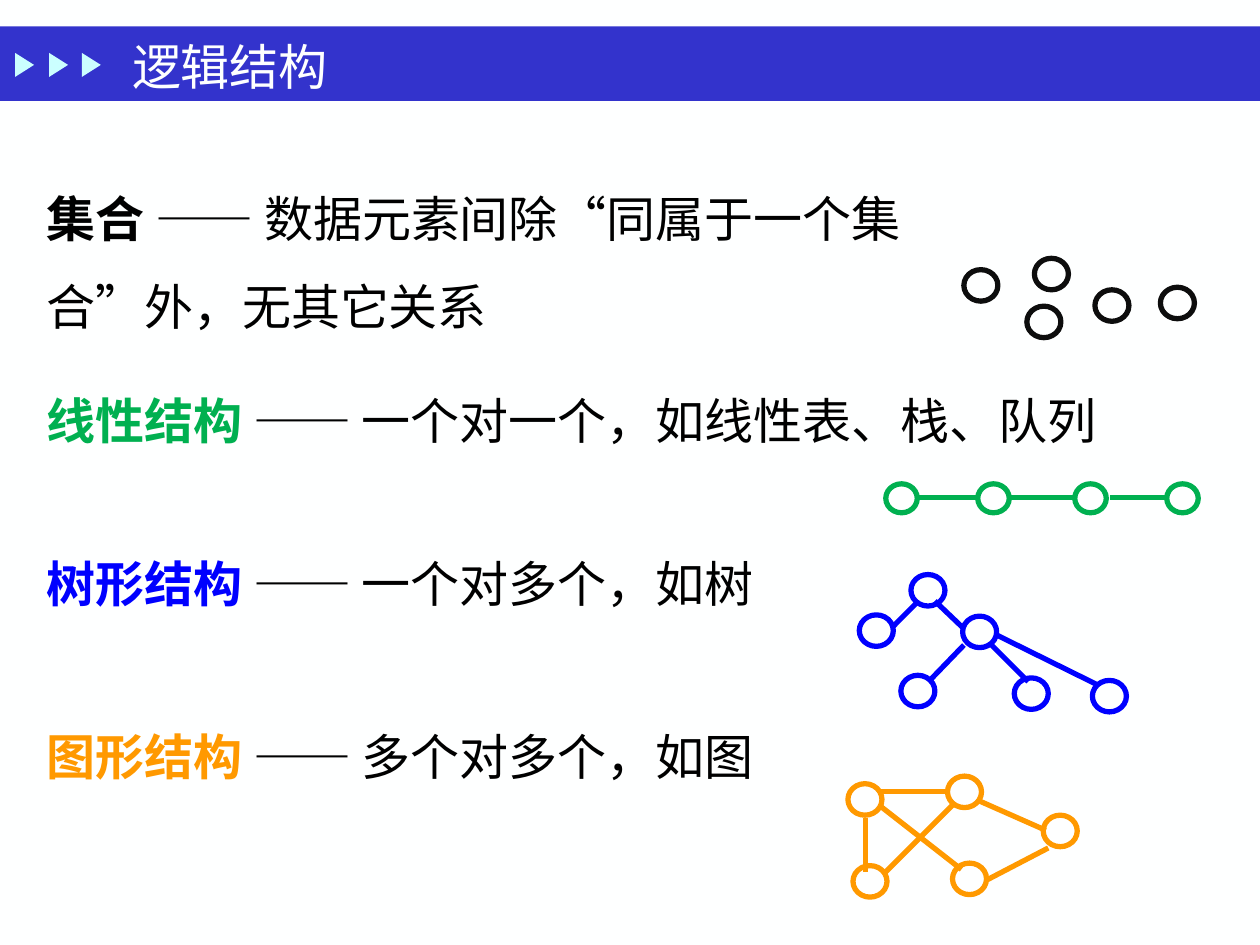
from lxml import etree
from pptx import Presentation
from pptx.dml.color import RGBColor
from pptx.enum import shapes, text
from pptx.enum.lang import MSO_LANGUAGE_ID
from pptx.oxml.ns import qn
from pptx.util import Inches, Pt

BLACK, GREEN, BLUE, ORANGE = "000000", "00B050", "0000FF", "FF9900"
PALE, BAND, MARK = "FEFFFF", "3333CC", "CBFFFF"

TITLE = "逻辑结构"

# term, colour, explanation, box (left, top, width, height), line spacing
DEFINITIONS = [
    ("集合", BLACK, "数据元素间除“同属于一个集合”外，无其它关系", (0.27, 1.21, 7.41, 1.43), 1.5),
    ("线性结构", GREEN, "一个对一个，如线性表、栈、队列", (0.27, 3.05, 8.64, 0.57), 1),
    ("树形结构", BLUE, "一个对多个，如树", (0.27, 4.34, 5.9, 0.57), 1),
    ("图形结构", ORANGE, "多个对多个，如图", (0.27, 5.72, 5.9, 0.57), 1),
]

# nodes: left, top; edges: x1, y1, x2, y2
DIAGRAMS = [
    {"color": "0D0D0D", "node_size": (0.27, 0.25),
     "nodes": [(7.65, 2.14), (8.21, 2.05), (8.15, 2.43), (8.69, 2.3), (9.21, 2.28)],
     "edges": []},
    {"color": GREEN, "node_size": (0.25, 0.23),
     "nodes": [(x, 3.84) for x in (7.03, 7.76, 8.53, 9.26)],
     "edges": [(x1, 3.95, x2, 3.95) for x1, x2 in ((7.28, 7.75), (8, 8.54), (8.81, 9.25))]},
    {"color": BLUE, "node_size": (0.27, 0.25),
     "nodes": [(7.23, 4.56), (6.82, 4.88), (7.64, 4.89), (7.15, 5.36), (8.05, 5.38), (8.67, 5.4)],
     "edges": [(7.27, 4.79, 7.08, 4.98), (7.65, 5.12, 7.37, 5.41), (7.42, 4.77, 7.64, 4.98),
               (7.85, 5.1, 8.16, 5.41), (7.91, 5.04, 8.72, 5.44)]},
    {"color": ORANGE, "node_size": (0.27, 0.25),
     "nodes": [(7.52, 6.16), (6.77, 6.87), (7.56, 6.85), (8.28, 6.47), (6.73, 6.22)],
     "edges": [(6.87, 6.49, 6.87, 6.92), (6.99, 6.4, 7.63, 6.9), (7.78, 6.36, 8.3, 6.59),
               (7.57, 6.38, 7.01, 6.94), (8.32, 6.73, 7.84, 6.98), (6.99, 6.28, 7.53, 6.28)]},
]


def rgb(color):
    return RGBColor.from_string(color)


def add_shape(slide, kind, box, fill=None, line=None):
    shape = slide.shapes.add_shape(kind, *map(Inches, box))
    shape.shadow.inherit = False
    if fill:
        shape.fill.solid()
        shape.fill.fore_color.rgb = rgb(fill)
    else:
        shape.fill.background()
    if line:
        shape.line.color.rgb = rgb(line)
        shape.line.width = Pt(3)
    else:
        shape.line.fill.background()
    return shape


def add_edge(slide, ends, color):
    edge = slide.shapes.add_connector(shapes.MSO_CONNECTOR.STRAIGHT, *map(Inches, ends))
    edge.line.color.rgb = rgb(color)
    edge.line.width = Pt(3)
    etree.SubElement(edge._element.spPr, qn("a:effectLst"))


def add_text(slide, box, runs, spacing=1, anchor=text.MSO_ANCHOR.TOP):
    """Each run is (words, colour, bold)."""
    frame = slide.shapes.add_textbox(*map(Inches, box)).text_frame
    frame.word_wrap = True
    frame.vertical_anchor = anchor
    paragraph = frame.paragraphs[0]
    paragraph.line_spacing = float(spacing)
    for words, color, bold in runs:
        run = paragraph.add_run()
        run.text = words
        run.font.name = "Times New Roman"
        run.font.size = Pt(28)
        run.font.bold = bold
        run.font.color.rgb = rgb(color)
        run.font.language_id = MSO_LANGUAGE_ID.SIMPLIFIED_CHINESE


def main():
    prs = Presentation()
    prs.slide_width, prs.slide_height = Inches(10), Inches(7.5)
    slide = prs.slides.add_slide(prs.slide_layouts[6])
    slide.background.fill.solid()
    slide.background.fill.fore_color.rgb = rgb(PALE)

    # Title band with three arrow marks
    add_shape(slide, shapes.MSO_SHAPE.RECTANGLE, (0, 0.21, 10, 0.59), fill=BAND)
    for left in (0.1, 0.37, 0.63):
        mark = add_shape(slide, shapes.MSO_SHAPE.ISOSCELES_TRIANGLE,
                         (left, 0.44, 0.19, 0.15), fill=MARK)
        mark.rotation = 90
    add_text(slide, (0.95, 0.21, 2.57, 0.62), [(TITLE, PALE, False)],
             anchor=text.MSO_ANCHOR.MIDDLE)

    # Definitions
    for term, color, explanation, box, spacing in DEFINITIONS:
        add_text(slide, box, [(term + " ", color, True), ("—— " + explanation, BLACK, False)],
                 spacing=spacing)

    # Diagrams
    for diagram in DIAGRAMS:
        for node in diagram["nodes"]:
            add_shape(slide, shapes.MSO_SHAPE.OVAL, node + diagram["node_size"],
                      line=diagram["color"])
        for ends in diagram["edges"]:
            add_edge(slide, ends, diagram["color"])

    prs.save("out.pptx")


if __name__ == "__main__":
    main()
